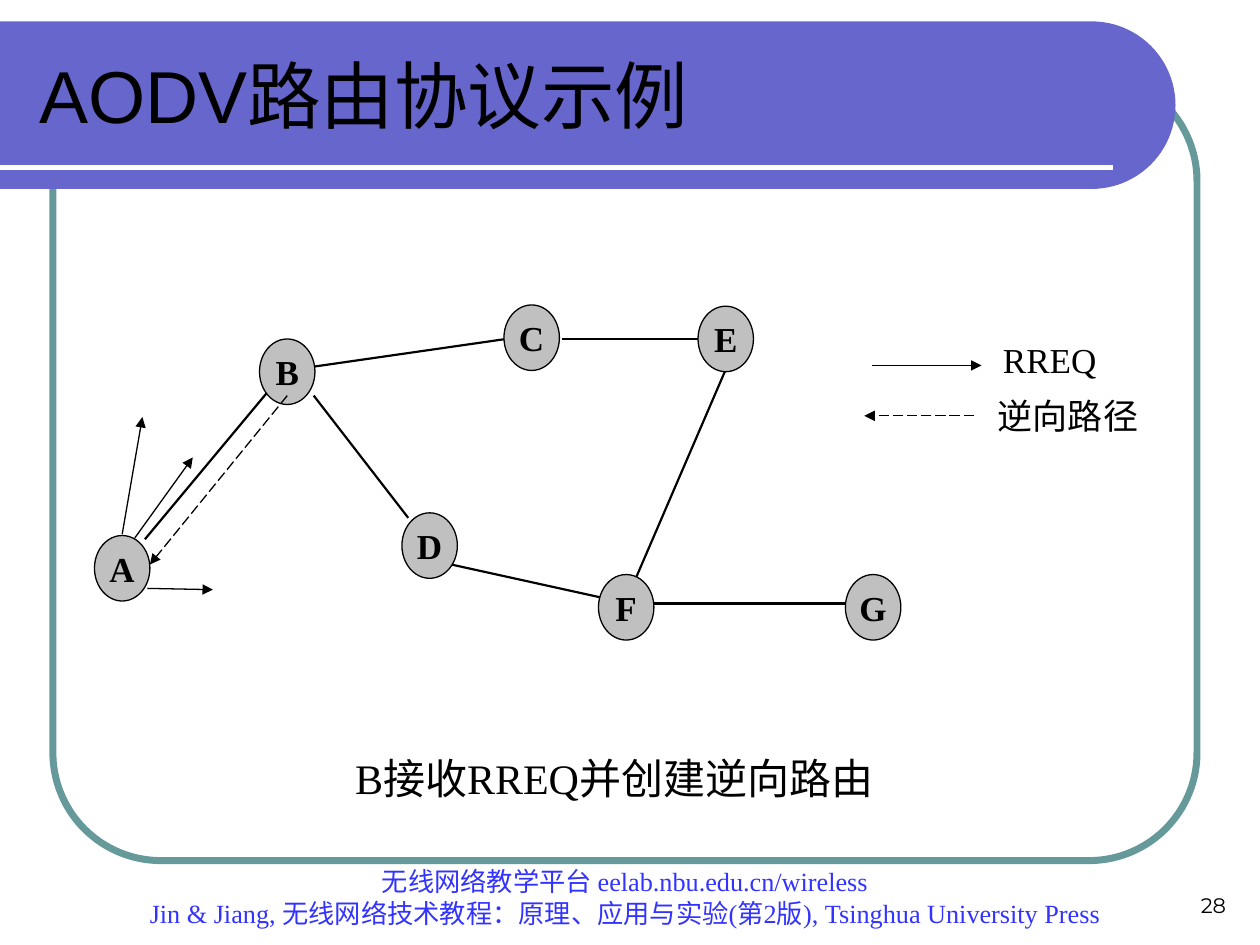
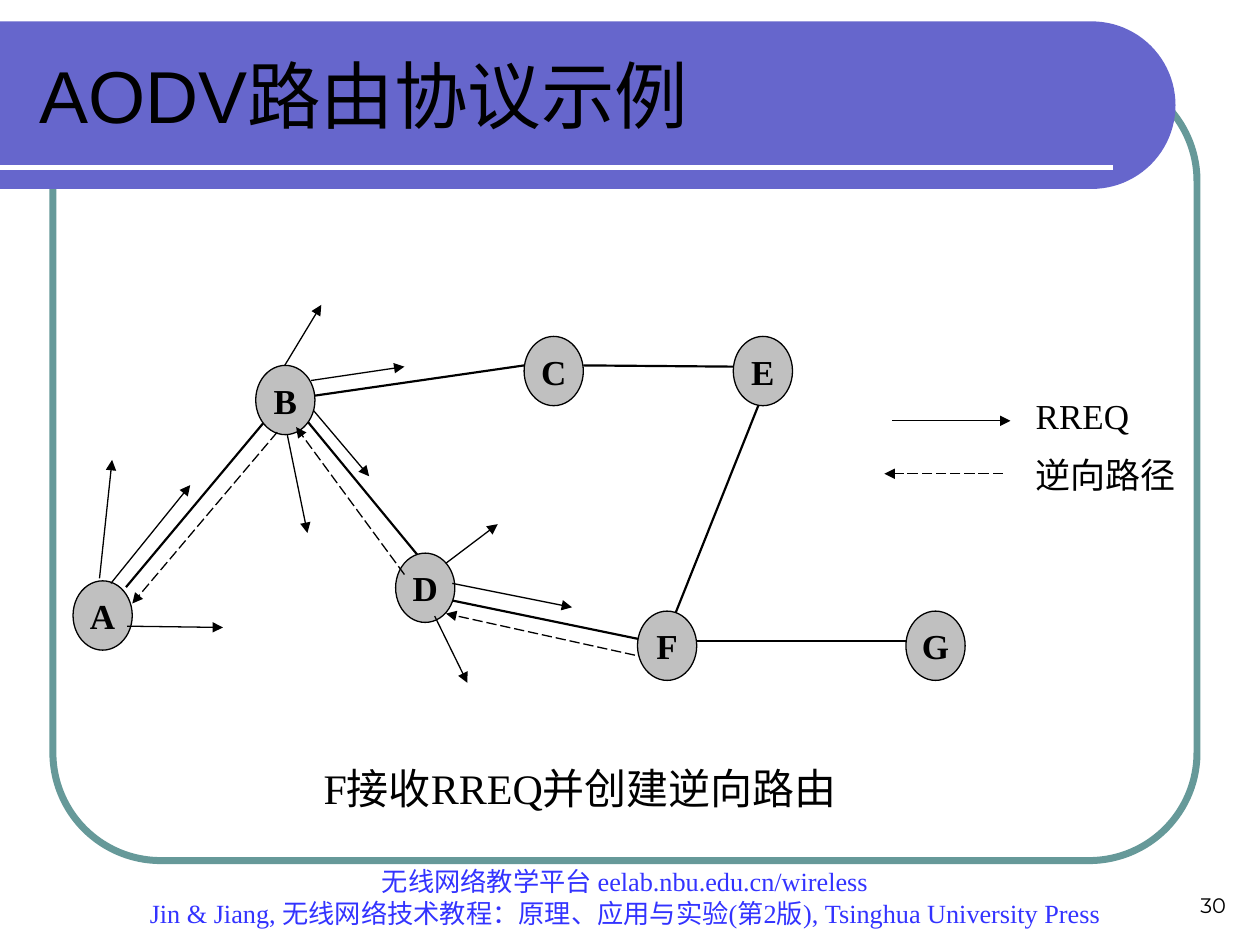
from dataclasses import dataclass
from math import cos, pi, sin

from lxml.etree import SubElement
from pptx import Presentation
from pptx.dml.color import RGBColor
from pptx.enum.dml import MSO_LINE
from pptx.enum.shapes import MSO_CONNECTOR, MSO_SHAPE
from pptx.enum.text import MSO_ANCHOR as Anchor, PP_ALIGN as Align
from pptx.oxml.ns import qn
from pptx.util import Inches, Pt

BLACK, WHITE, GREY = "000000", "FFFFFF", "C0C0C0"
BAND, FRAME, FOOTER = "6666CC", "669999", "3333FF"
SERIF = "Times New Roman"
TITLE = "AODV路由协议示例"
FOOTER_LINES = [
    "无线网络教学平台 eelab.nbu.edu.cn/wireless",
    "Jin & Jiang, 无线网络技术教程：原理、应用与实验(第2版), Tsinghua University Press",
]
TEXT_INSETS = (0.1, 0.05)


@dataclass
class Legend:
    """Position and spacing of the two-row legend."""
    box: tuple
    arrow_length: float
    arrow_pitch: float
    label_lefts: tuple
    label_pitch: float


@dataclass
class RoutingStep:
    """One step of route discovery; lines run from tail to tip."""
    number: str
    caption: str
    caption_box: tuple
    node_size: tuple
    nodes: dict
    links: list
    requests: list
    reverse_paths: list
    legend: Legend


STEPS = [
    RoutingStep(
        number="28",
        caption="B接收RREQ并创建逆向路由",
        caption_box=(2.72, 5.92, 4.6, 0.5),
        node_size=(0.44, 0.52),
        nodes={"A": (0.25, 2.25), "B": (1.56, 0.69), "C": (3.5, 0.42), "D": (2.69, 2.07),
               "E": (5.04, 0.43), "F": (4.25, 2.56), "G": (6.21, 2.56)},
        links=[(0.65, 2.28, 1.65, 1.08), (1.99, 0.91, 3.52, 0.69), (3.96, 0.69, 5.05, 0.69),
               (1.99, 1.14, 2.74, 2.11), (3.08, 2.48, 4.26, 2.74), (4.55, 2.58, 5.27, 0.91),
               (4.68, 2.79, 6.21, 2.79)],
        requests=[(0.67, 2.67, 1.19, 2.68), (0.57, 2.27, 1.03, 1.63), (0.47, 2.24, 0.63, 1.31)],
        reverse_paths=[(1.78, 1.14, 0.69, 2.48)],
        legend=Legend((6.86, 2.69), 0.87, 0.4, (1.1, 1.06), 0.44),
    ),
    RoutingStep(
        number="30",
        caption="F接收RREQ并创建逆向路由",
        caption_box=(2.47, 6, 4.57, 0.5),
        node_size=(0.47, 0.55),
        nodes={"A": (0.08, 2.61), "B": (1.53, 0.9), "C": (3.66, 0.67), "D": (2.64, 2.39),
               "E": (5.32, 0.67), "F": (4.56, 2.85), "G": (6.69, 2.85)},
        links=[(0.5, 2.66, 1.63, 1.31), (2, 1.14, 3.66, 0.9), (4.13, 0.9, 5.32, 0.91),
               (1.92, 1.32, 2.81, 2.4), (3.06, 2.76, 4.61, 3.08), (4.84, 2.92, 5.55, 1.14),
               (5.03, 3.09, 6.69, 3.09)],
        requests=[(0.51, 2.97, 1.27, 2.98), (0.38, 2.63, 1.01, 1.85), (0.29, 2.59, 0.39, 1.65),
                  (1.76, 0.9, 2.05, 0.42), (1.97, 1.02, 2.71, 0.91), (1.99, 1.26, 2.43, 1.78),
                  (1.78, 1.45, 1.94, 2.23), (3.09, 2.63, 4.04, 2.82), (3.04, 2.47, 3.45, 2.16),
                  (2.95, 2.89, 3.21, 3.42)],
        reverse_paths=[(1.7, 1.43, 0.55, 2.79), (2.71, 2.56, 1.85, 1.39), (4.54, 3.2, 3.04, 2.87)],
        legend=Legend((7.02, 3.13), 0.94, 0.42, (1.2, 1.2), 0.47),
    ),
]


def paint(color_format, color):
    """Apply a hex colour to a fill or a font."""
    if hasattr(color_format, "solid"):
        color_format.solid()
        color_format.fore_color.rgb = RGBColor.from_string(color)
    else:
        color_format.color.rgb = RGBColor.from_string(color)


def write(shape, lines, size, font=SERIF, color=BLACK, bold=False, align=Align.LEFT,
          anchor=Anchor.TOP, insets=(0, 0), wrap=True):
    """Fill a shape with evenly formatted paragraphs."""
    frame = shape.text_frame
    frame.text = "\n".join(lines)
    frame.word_wrap = wrap
    frame.vertical_anchor = anchor
    frame.margin_left = frame.margin_right = Inches(insets[0])
    frame.margin_top = frame.margin_bottom = Inches(insets[1])
    for paragraph in frame.paragraphs:
        paragraph.alignment = align
        paragraph.font.name = font
        paragraph.font.size = Pt(size)
        paragraph.font.bold = bold
        paint(paragraph.font, color)


def add_text(slide, box, lines, size, **style):
    """Add a text box with the given style."""
    write(slide.shapes.add_textbox(*map(Inches, box)), lines, size, **style)


def add_line(slide, ends, width, color=BLACK, arrow=False, dashed=False, origin=(0, 0)):
    """Draw a straight line between two points measured from an origin."""
    left, top = origin
    x1, y1, x2, y2 = ends
    points = map(Inches, (left + x1, top + y1, left + x2, top + y2))
    connector = slide.shapes.add_connector(MSO_CONNECTOR.STRAIGHT, *points)
    connector.line.width = Pt(width)
    paint(connector.line.fill, color)
    if dashed:
        connector.line.dash_style = MSO_LINE.LONG_DASH
    properties = connector.element.spPr
    if arrow:
        SubElement(properties.find(qn("a:ln")), qn("a:tailEnd"), type="triangle")
    SubElement(properties, qn("a:effectLst"))


def add_frame(slide, left, top, width, height):
    """Draw the rounded outline around the content."""
    outline = slide.shapes.add_shape(MSO_SHAPE.ROUNDED_RECTANGLE,
                                     *map(Inches, (left, top, width, height)))
    outline.adjustments[0] = 0.137
    outline.shadow.inherit = False
    outline.fill.background()
    outline.line.width = Pt(4)
    paint(outline.line.fill, FRAME)


def add_title_band(slide, left, top, width, height):
    """Draw the round-ended band, its white rule and the title."""
    radius = height / 2
    center = left + width - radius
    steps = 48
    angles = [pi * (step / steps - 0.5) for step in range(steps + 1)]
    arc = [(Inches(center + radius * cos(angle)), Inches(top + radius * (1 + sin(angle))))
           for angle in angles]
    builder = slide.shapes.build_freeform(Inches(left), Inches(top))
    builder.add_line_segments([*arc, (Inches(left), Inches(top + height))], close=True)
    band = builder.convert_to_shape()
    band.shadow.inherit = False
    band.line.fill.background()
    paint(band.fill, BAND)
    add_line(slide, (0, 1.16, width - 0.5, 1.16), 3, WHITE, origin=(left, top))

    title = slide.shapes.title
    title.left, title.top = Inches(left + 0.21), Inches(top + 0.08)
    title.width, title.height = Inches(8.77), Inches(1)
    write(title, [TITLE], 42, font="Arial", anchor=Anchor.MIDDLE, insets=TEXT_INSETS)
    slide.shapes.element.append(title.element)


def add_footer(slide, number):
    """Write the course credit and the slide number."""
    add_text(slide, (0.75, 7, 8.42, 0.42), FOOTER_LINES, 15, color=FOOTER,
             align=Align.CENTER, anchor=Anchor.BOTTOM, insets=TEXT_INSETS)
    add_text(slide, (7.5, 6.83, 2.33, 0.5), [number], 12, font="Montserrat",
             align=Align.RIGHT, anchor=Anchor.BOTTOM, insets=TEXT_INSETS)


def add_network(slide, origin, step):
    """Draw the links, nodes and messages of one step."""
    for link in step.links:
        add_line(slide, link, 1.25, origin=origin)
    for name, (x, y) in step.nodes.items():
        box = (origin[0] + x, origin[1] + y, *step.node_size)
        node = slide.shapes.add_shape(MSO_SHAPE.OVAL, *map(Inches, box))
        node.shadow.inherit = False
        paint(node.fill, GREY)
        paint(node.line.fill, BLACK)
        node.line.width = Pt(0.75)
        write(node, [name], 20, bold=True, align=Align.CENTER, anchor=Anchor.MIDDLE)
    for request in step.requests:
        add_line(slide, request, 0.75, arrow=True, origin=origin)
    for reverse_path in step.reverse_paths:
        add_line(slide, reverse_path, 0.75, arrow=True, dashed=True, origin=origin)


def add_legend(slide, legend):
    """Explain the solid and dashed arrows."""
    left, top = legend.box
    first, length = 0.21, legend.arrow_length
    second = first + legend.arrow_pitch
    add_line(slide, (0.06, first, 0.06 + length, first), 0.75, arrow=True, origin=legend.box)
    add_line(slide, (length, second, 0, second), 0.75, arrow=True, dashed=True,
             origin=legend.box)
    for row, label in enumerate(["RREQ", "逆向路径"]):
        box = (left + legend.label_lefts[row], top + row * legend.label_pitch, 1.16, 0.45)
        add_text(slide, box, [label], 20)


def add_step_slide(presentation, step):
    """Build one slide of the routing example."""
    slide = presentation.slides.add_slide(presentation.slide_layouts[5])
    add_frame(slide, 0.42, 0.58, 9.08, 6.25)
    add_title_band(slide, 0, 0.17, 9.33, 1.33)
    add_footer(slide, step.number)
    add_network(slide, (0.5, 2), step)
    add_legend(slide, step.legend)
    add_text(slide, step.caption_box, [step.caption], 24, anchor=Anchor.MIDDLE,
             insets=TEXT_INSETS, wrap=False)


def main():
    """Build and save the presentation."""
    presentation = Presentation()
    presentation.slide_width, presentation.slide_height = Inches(10), Inches(7.5)
    for step in STEPS:
        add_step_slide(presentation, step)
    presentation.save("out.pptx")


if __name__ == "__main__":
    main()
